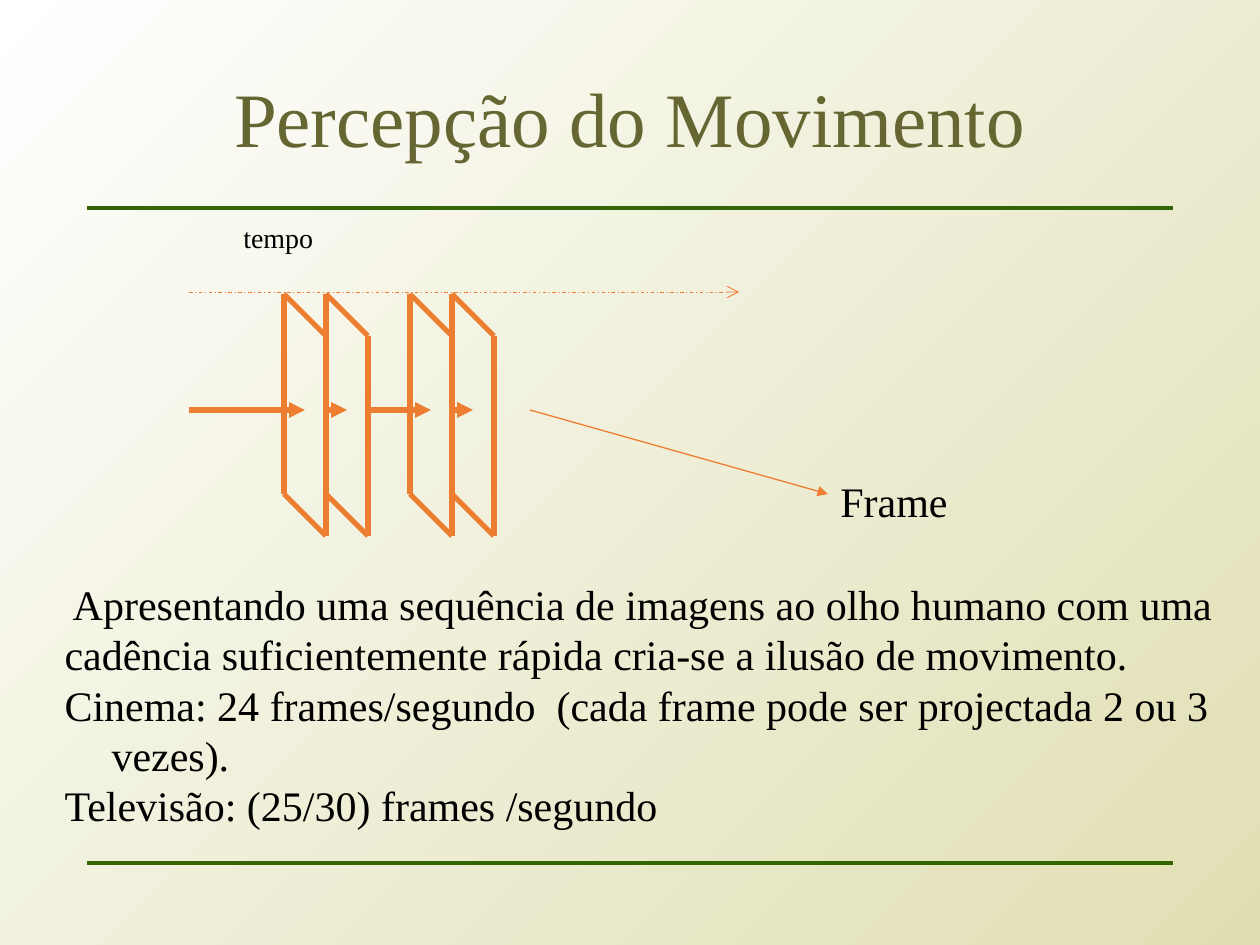
from pptx import Presentation
from pptx.dml.color import RGBColor
from pptx.enum.dml import MSO_LINE
from pptx.enum.shapes import MSO_CONNECTOR
from pptx.enum.text import MSO_ANCHOR, MSO_AUTO_SIZE, PP_ALIGN
from pptx.oxml.ns import qn
from pptx.util import Pt
from lxml.etree import SubElement

SCALE = 914400 / 126
FONT = "Times New Roman"
GREEN, OLIVE, ORANGE, BLACK = "336600", "666633", "ED7D31", "000000"
STEP = 42  # sideways and downward slant of a frame
TOP, FOOT, MID = 294, 494, 410
LEFTS = (284, 326, 410, 452)
BODY = (
    " Apresentando uma sequência de imagens ao olho humano com uma",
    "cadência suficientemente rápida cria-se a ilusão de movimento.",
    "Cinema: 24 frames/segundo  (cada frame pode ser projectada 2 ou 3 vezes).",
    "Televisão: (25/30) frames /segundo",
)


def px(num):
    return round(num * SCALE)


def paint(text):
    return RGBColor.from_string(text)


def place(shape, box):
    shape.left, shape.top, shape.width, shape.height = map(px, box)


def style(para, size, color):
    para.font.name = FONT
    para.font.size = Pt(size)
    para.font.color.rgb = paint(color)


def add_line(shapes, ends, color, width, head=None, dash=None):
    """Draw a straight line through ends (x1, y1, x2, y2)."""
    line = shapes.add_connector(MSO_CONNECTOR.STRAIGHT, *map(px, ends))
    line.line.color.rgb = paint(color)
    line.line.width = Pt(width)
    if dash:
        line.line.dash_style = dash
    props = line._element.spPr
    if head:
        SubElement(props.find(qn("a:ln")), qn("a:tailEnd"), type=head)
    SubElement(props, qn("a:effectLst"))


def fill_text(shape, lines, size):
    """Write plain paragraphs with a hanging indent."""
    frame = shape.text_frame
    frame.word_wrap = True
    frame.auto_size = MSO_AUTO_SIZE.NONE
    frame.text = "\n".join(lines)
    for para in frame.paragraphs:
        props = para._p.get_or_add_pPr()
        props.set("marL", str(px(47)))
        props.set("indent", str(px(-47)))
        SubElement(props, qn("a:buNone"))
        para.space_before = Pt(0)
        para.line_spacing = Pt(size * 1.2)
        style(para, size, BLACK)


def add_label(slide, box, text, size):
    label = slide.shapes.add_textbox(*map(px, box))
    fill_text(label, [text], size)


def set_back(slide):
    fill = slide.background.fill
    fill.gradient()
    fill.gradient_angle = 315
    for stop, color in zip(fill.gradient_stops, ("FFFFFF", "E0DFB3")):
        stop.color.rgb = paint(color)
    for stop, pos in zip(fill.gradient_stops, (0, 1)):
        stop.position = pos


def set_title(slide, text):
    title = slide.shapes.title
    place(title, (87, 50, 1086, 145))
    frame = title.text_frame
    frame.text = text
    frame.vertical_anchor = MSO_ANCHOR.MIDDLE
    frame.auto_size = MSO_AUTO_SIZE.NONE
    para = frame.paragraphs[0]
    para.alignment = PP_ALIGN.CENTER
    para.line_spacing = 0.9
    style(para, 44, OLIVE)


def add_frame(shapes, left):
    """Draw one slanted film frame."""
    right = left + STEP
    for ends in (
        (left, TOP, left, FOOT),
        (left, FOOT, right, FOOT + STEP),
        (left, TOP, right, TOP + STEP),
        (right, TOP + STEP, right, FOOT + STEP),
    ):
        add_line(shapes, ends, ORANGE, 3)


def add_film(slide):
    """Draw the row of frames and the ray that runs through them."""
    shapes = slide.shapes.add_group_shape().shapes
    for left in LEFTS:
        add_frame(shapes, left)
    for left, start in zip(LEFTS, (189,) + LEFTS[1:]):
        add_line(shapes, (start, MID, left + STEP // 2, MID), ORANGE, 3, "triangle")
    add_line(shapes, (LEFTS[1] + STEP, MID, LEFTS[2], MID), ORANGE, 3)


def main():
    deck = Presentation()
    deck.slide_width, deck.slide_height = px(1260), px(945)
    slide = deck.slides.add_slide(deck.slide_layouts[1])
    set_back(slide)
    for y in (208, 863):
        add_line(slide.shapes, (87, y, 1173, y), GREEN, 2)
    set_title(slide, "Percepção do Movimento")
    add_film(slide)
    add_line(slide.shapes, (189, 292, 739, 292), ORANGE, 0.5, "arrow", MSO_LINE.DASH_DOT)
    add_label(slide, (231, 214, 430, 47), "tempo", 16)
    add_label(slide, (828, 469, 258, 63), "Frame", 24)
    add_line(slide.shapes, (530, MID, 828, 494), ORANGE, 0.75, "triangle")
    body = slide.placeholders[1]
    place(body, (52, 572, 1184, 297))
    fill_text(body, BODY, 24)
    deck.save("out.pptx")


if __name__ == "__main__":
    main()
